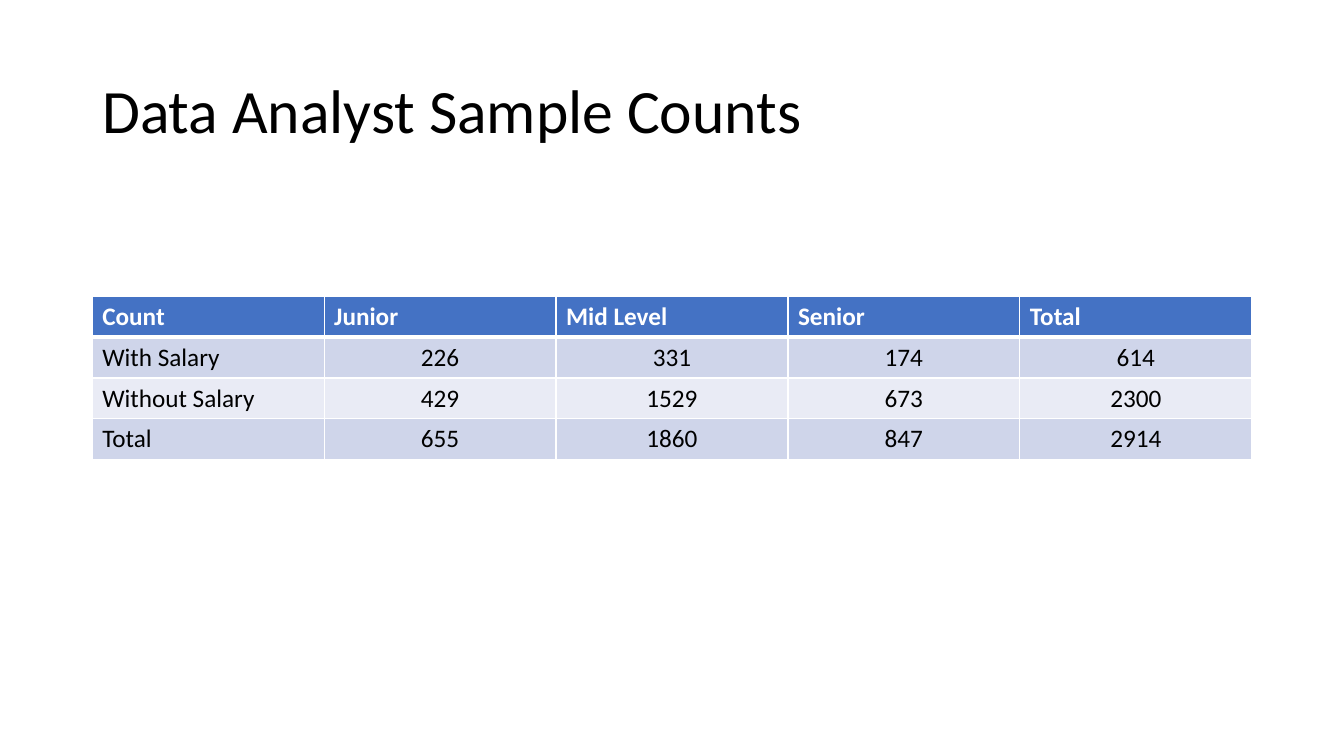
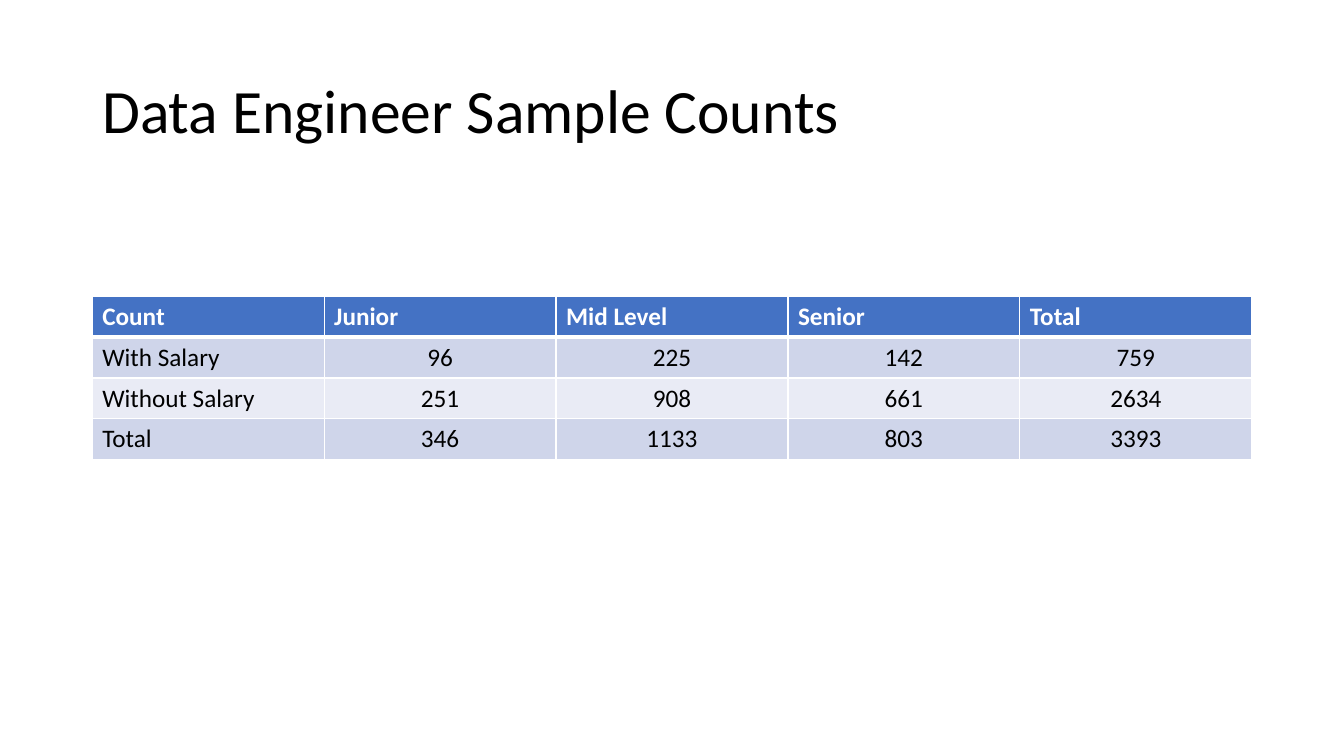
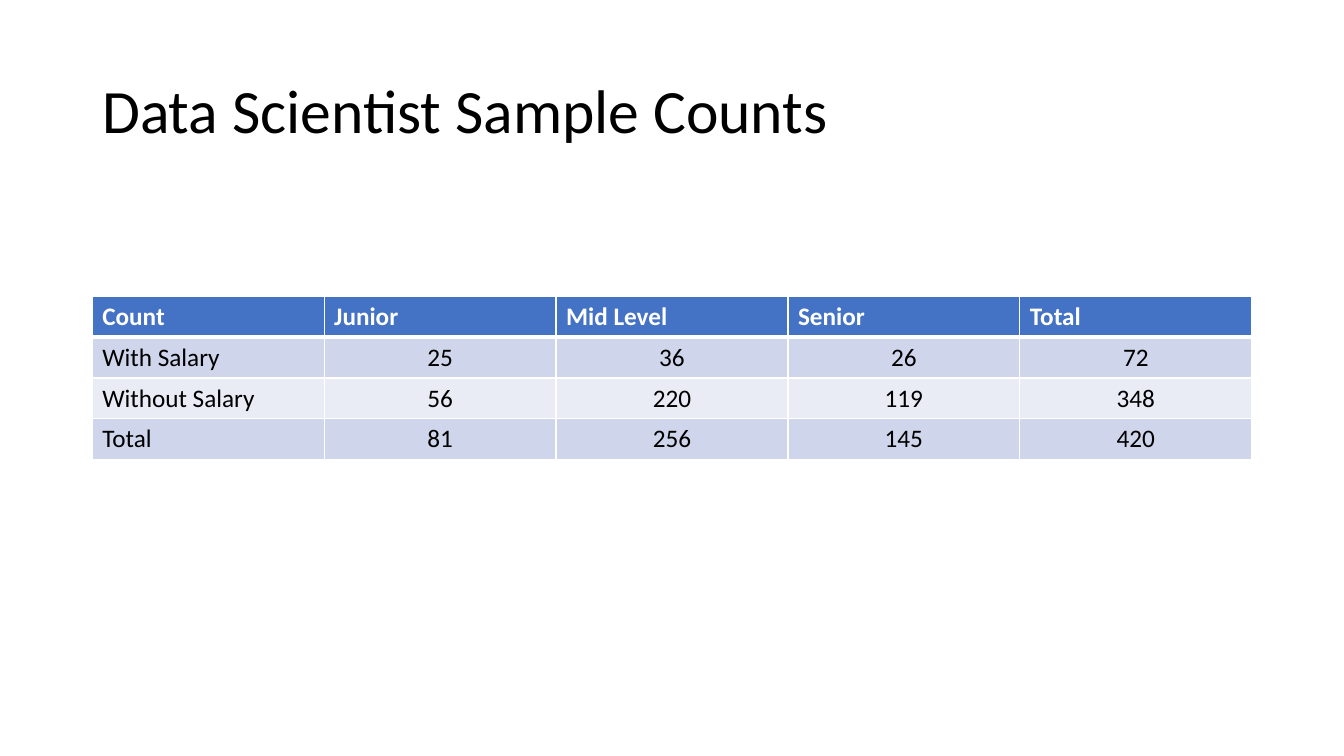
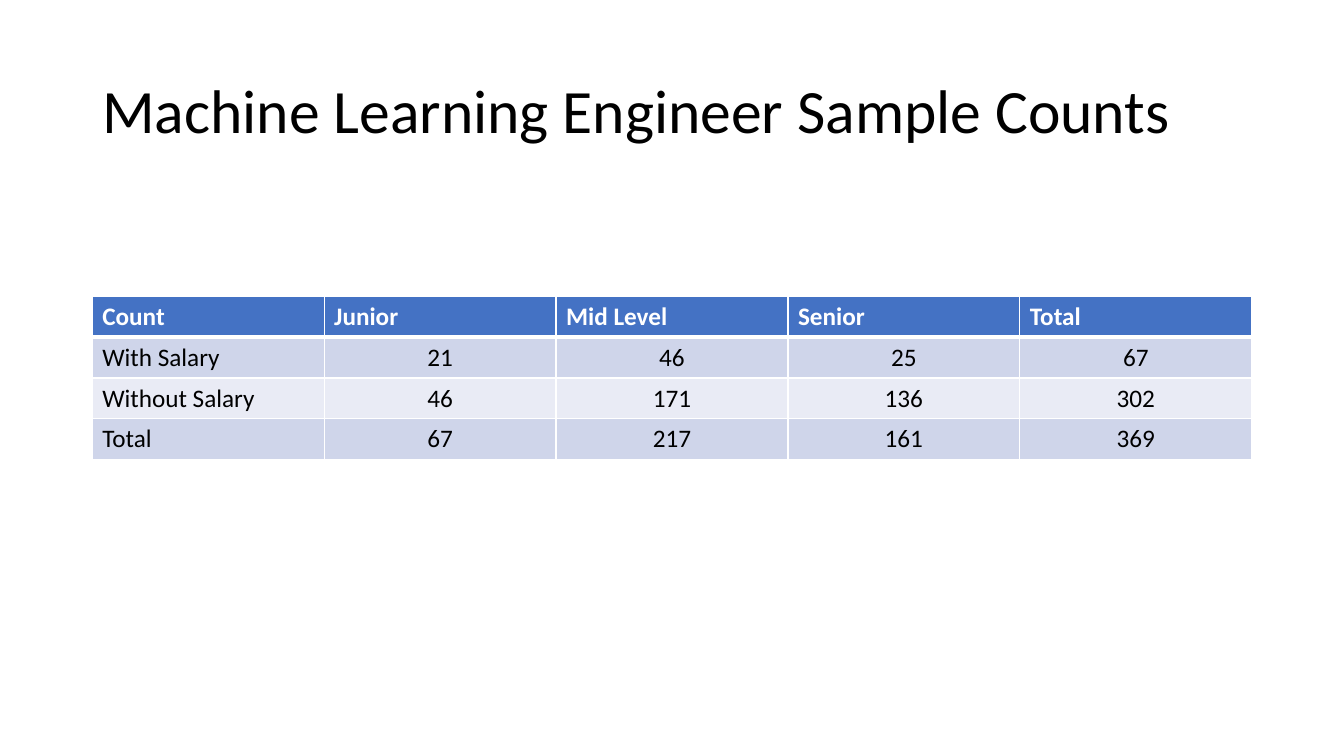
from lxml.etree import SubElement
from pptx import Presentation
from pptx.dml.color import RGBColor
from pptx.enum.text import MSO_ANCHOR, PP_ALIGN
from pptx.oxml.ns import qn
from pptx.util import Inches, Pt

LEVELS = ("Count", "Junior", "Mid Level", "Senior", "Total")
SALARY_GROUPS = ("With Salary", "Without Salary", "Total")
ROLES = (
    ("Data Analyst", ((226, 331, 174, 614), (429, 1529, 673, 2300), (655, 1860, 847, 2914))),
    ("Data Engineer", ((96, 225, 142, 759), (251, 908, 661, 2634), (346, 1133, 803, 3393))),
    ("Data Scientist", ((25, 36, 26, 72), (56, 220, 119, 348), (81, 256, 145, 420))),
    ("Machine Learning Engineer", ((21, 46, 25, 67), (46, 171, 136, 302), (67, 217, 161, 369))),
)

COLORS = {
    "text": "000000",
    "rule": "FFFFFF",
    "header": "4472C4",
    "header_text": "FFFFFF",
    "odd_row": "CFD5EA",
    "even_row": "E9EBF5",
}
FONT = "Calibri"
TITLE_SIZE, TABLE_SIZE = 44, 18
THIN, THICK = 1, 3

SLIDE_WIDTH, SLIDE_HEIGHT = Inches(13.33), Inches(7.5)
CONTENT_WIDTH = Inches(11.5)
MARGIN = (SLIDE_WIDTH - CONTENT_WIDTH) // 2
TITLE_TOP, TITLE_HEIGHT = Inches(0.4), Inches(1.45)
TABLE_TOP, ROW_HEIGHT = Inches(2.94), Inches(0.405)


def color(name):
    """Look up a palette colour."""
    return RGBColor.from_string(COLORS[name])


def add_run(paragraph, words, size, color_name, bold=False):
    """Add one styled run to a paragraph."""
    run = paragraph.add_run()
    run.text = words
    run.font.name = FONT
    run.font.size = Pt(size)
    run.font.bold = bold
    run.font.color.rgb = color(color_name)


def add_title(slide, heading):
    """Place the heading in the band at the top of the slide."""
    frame = slide.shapes.add_textbox(MARGIN, TITLE_TOP, CONTENT_WIDTH, TITLE_HEIGHT).text_frame
    frame.word_wrap = True
    frame.vertical_anchor = MSO_ANCHOR.MIDDLE
    frame.paragraphs[0].line_spacing = 0.9
    add_run(frame.paragraphs[0], heading, TITLE_SIZE, "text")


def rule_cell(cell, top, bottom):
    """Draw the four borders of a cell, with widths in points."""
    properties = cell._tc.get_or_add_tcPr()
    for side, width in (("L", THIN), ("R", THIN), ("T", top), ("B", bottom)):
        line = SubElement(properties, qn(f"a:ln{side}"), w=str(Pt(width)))
        fill = SubElement(line, qn("a:solidFill"))
        SubElement(fill, qn("a:srgbClr"), val=COLORS["rule"])


def style_cell(cell, row, column, value):
    """Write and colour a cell according to its place in the table."""
    is_header = row == 0
    # The thick rule lies between the header and the first body row.
    rule_cell(cell, THICK if row == 1 else THIN, THICK if is_header else THIN)
    band = "header" if is_header else "odd_row" if row % 2 else "even_row"
    cell.fill.solid()
    cell.fill.fore_color.rgb = color(band)
    paragraph = cell.text_frame.paragraphs[0]
    is_count = row > 0 and column > 0
    paragraph.alignment = PP_ALIGN.CENTER if is_count else PP_ALIGN.LEFT
    add_run(paragraph, str(value), TABLE_SIZE, "header_text" if is_header else "text", is_header)


def add_counts(slide, counts):
    """Add the table of sample counts by salary group and level."""
    rows = [LEVELS] + [(group, *values) for group, values in zip(SALARY_GROUPS, counts)]
    table = slide.shapes.add_table(
        len(rows), len(LEVELS), MARGIN, TABLE_TOP, CONTENT_WIDTH, ROW_HEIGHT * len(rows)
    ).table
    for r, values in enumerate(rows):
        for c, value in enumerate(values):
            style_cell(table.cell(r, c), r, c, value)


def build():
    """Build one slide for each role and save the deck."""
    deck = Presentation()
    deck.slide_width, deck.slide_height = SLIDE_WIDTH, SLIDE_HEIGHT
    blank = deck.slide_layouts[6]
    for role, counts in ROLES:
        slide = deck.slides.add_slide(blank)
        add_title(slide, f"{role} Sample Counts")
        add_counts(slide, counts)
    deck.save("out.pptx")


build()
